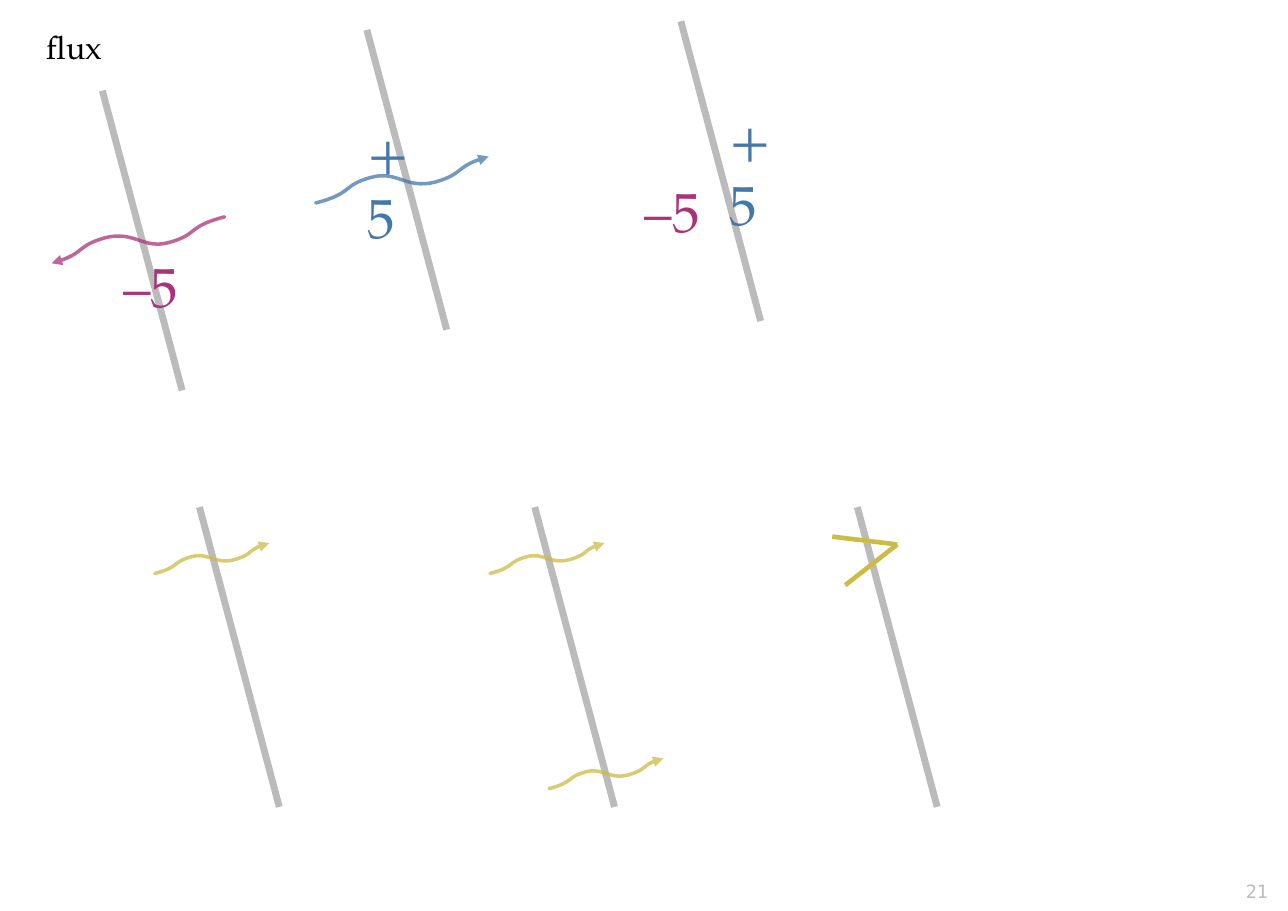
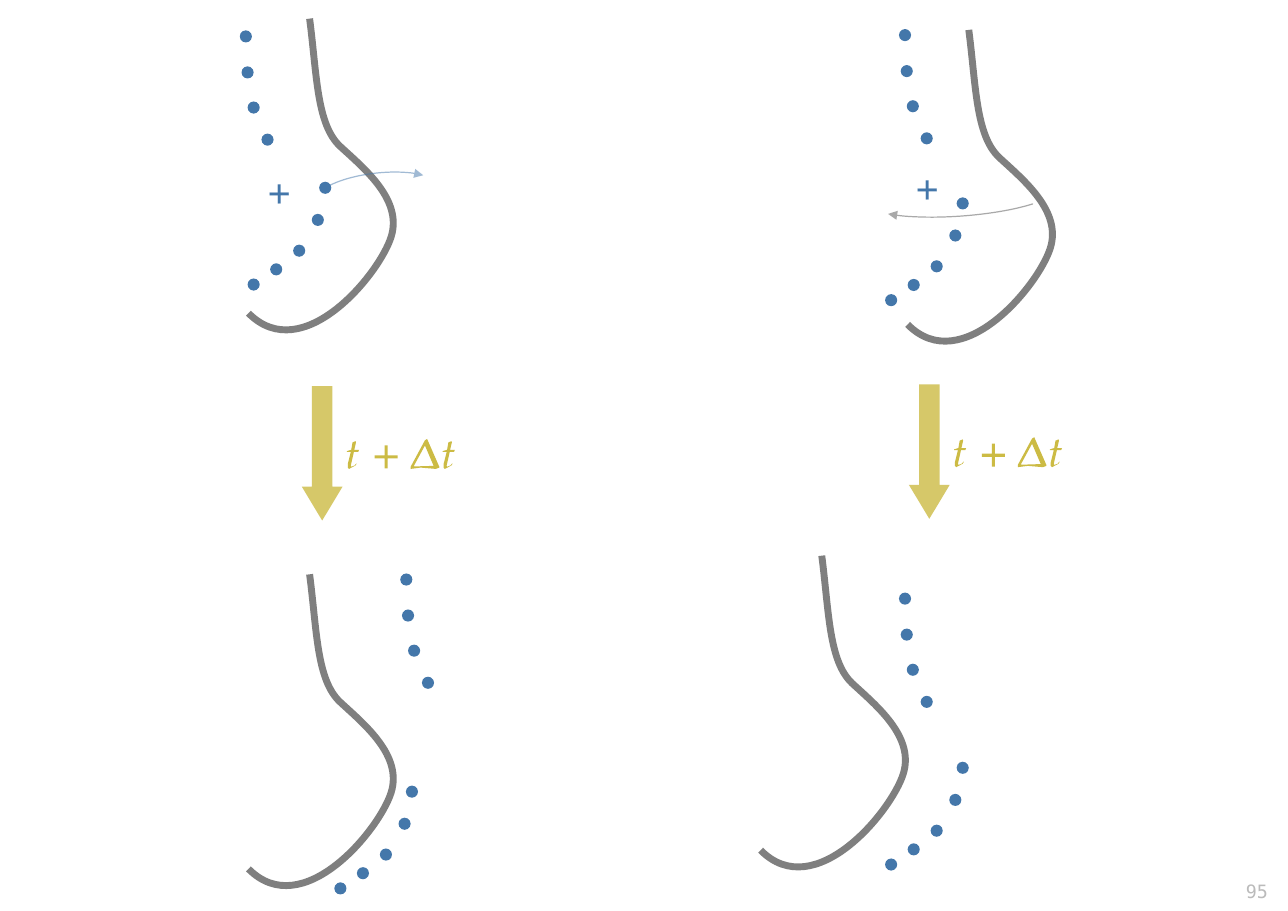
import pptx
import pptx.util
from lxml import etree
from pptx.dml.color import RGBColor
from pptx.enum.shapes import MSO_CONNECTOR, MSO_SHAPE
from pptx.enum.text import MSO_ANCHOR, PP_ALIGN
from pptx.oxml.ns import qn
from pptx.util import Cm

BLACK = RGBColor(0x00, 0x00, 0x00)
BLUE = RGBColor(0x44, 0x77, 0xAA)
MAGENTA = RGBColor(0xAA, 0x33, 0x77)
YELLOW = RGBColor(0xCC, 0xBB, 0x44)
LIGHT_GRAY = RGBColor(0xBB, 0xBB, 0xBB)
DARK_GRAY = RGBColor(0x55, 0x55, 0x55)

SERIF = "TeX Gyre Pagella"
MONO = "DejaVu Sans Mono"

WAVE = [(0, 1), (0.22, 0.79), (0.15, 0.62), (0.32, 0.45), (0.47, 0.29),
        (0.52, 0.71), (0.69, 0.55), (0.85, 0.38), (0.8, 0.21), (1, 0)]
LARGE_WAVE = (3.99, 1.07)
SMALL_WAVE = (2.64, 0.7)
BEND = [(1.41, 0), (1.58, 1.3), (1.57, 2.43), (2.11, 2.94), (2.66, 3.45),
        (3.56, 4.17), (3.29, 5.03), (3.02, 5.89), (1.25, 8.05), (0, 6.79)]
BEND_SIZE = (3.33, 7.19)
UPPER_DOTS = [(0, 0), (0.04, 0.83), (0.18, 1.64), (0.5, 2.38)]
LOWER_DOTS = [(0, 0), (-0.17, 0.74), (-0.6, 1.45), (-1.13, 1.88), (-1.65, 2.23)]
DOT_SIZE = 0.28

LETTER_T = [[(0.22, 0.53), (0.22, 0.51), (0.18, 0.56), (0.1, 0.59), (0.09, 0.56),
             (0.15, 0.3), (0.16, 0.25), (0.26, 0.25), (0.28, 0.2), (0.17, 0.2),
             (0.21, 0.03), (0.2, 0), (0.13, 0.03), (0.1, 0.2), (0, 0.23), (0, 0.25),
             (0.09, 0.25), (0.02, 0.53), (0.02, 0.61), (0.05, 0.64), (0.2, 0.56)]]
PLUS = [[(0.53, 0.3), (0.53, 0.23), (0.3, 0.23), (0.3, 0), (0.23, 0), (0.23, 0.23),
         (0, 0.23), (0, 0.3), (0.23, 0.3), (0.23, 0.53), (0.3, 0.53), (0.3, 0.3)]]
DELTA = [[(0.33, 0.03), (0, 0.64), (0, 0.69), (0.23, 0.66), (0.58, 0.69),
          (0.66, 0.66), (0.66, 0.64), (0.38, 0)],
         [(0.53, 0.62), (0.18, 0.63), (0.08, 0.63), (0.08, 0.61), (0.33, 0.15)]]
TIME_LABEL = [(1.04, 1.27, LETTER_T), (1.68, 1.37, PLUS), (2.51, 1.22, DELTA),
              (3.25, 1.27, LETTER_T)]


def set_text(tf, text, size=21, color=BLACK, font=SERIF, bold=False, align=PP_ALIGN.LEFT):
    """Write one formatted paragraph at the top of a text frame."""
    tf.word_wrap = True
    tf.vertical_anchor = MSO_ANCHOR.TOP
    p = tf.paragraphs[0]
    p.alignment = align
    r = p.add_run()
    r.text = text
    r.font.name = font
    r.font.size = pptx.util.Pt(size)
    r.font.color.rgb = color
    r.font.bold = bold


def add_text(s, left, top, width, height, text, **fmt):
    """Add a text box with formatted text."""
    box = s.shapes.add_textbox(Cm(left), Cm(top), Cm(width), Cm(height))
    set_text(box.text_frame, text, **fmt)


def fade(sp, percent):
    """Set the opacity of the colours of a shape."""
    for clr in sp._element.spPr.iter(qn("a:srgbClr")):
        etree.SubElement(clr, qn("a:alpha"), val=str(percent * 1000))


def style_fill(sp, color):
    """Fill a shape and leave it without an outline."""
    sp.shadow.inherit = False
    sp.fill.solid()
    sp.fill.fore_color.rgb = color
    sp.line.fill.background()


def style_stroke(sp, color, width, opacity=100, arrow=False):
    """Format an unfilled outline, with an arrowhead at its end if asked."""
    sp.shadow.inherit = False
    sp.fill.background()
    sp.line.color.rgb = color
    sp.line.width = pptx.util.Pt(width)
    if opacity < 100:
        fade(sp, opacity)
    if arrow:
        ln = sp.line._get_or_add_ln()
        ln.set("cap", "rnd")
        etree.SubElement(ln, qn("a:tailEnd"), type="triangle")


def add_line(shapes, x1, y1, x2, y2, color, width):
    """Add a straight line."""
    line = shapes.add_connector(MSO_CONNECTOR.STRAIGHT, Cm(x1), Cm(y1), Cm(x2), Cm(y2))
    line.line.color.rgb = color
    line.line.width = pptx.util.Pt(width)
    etree.SubElement(line._element.spPr, qn("a:effectLst"))


def add_curve(shapes, left, top, size, points, **stroke):
    """Add an open chain of cubic curves in a box of the given size."""
    start, *rest = [(Cm(left + x), Cm(top + y)) for x, y in points]
    builder = shapes.build_freeform(*start)
    builder.add_line_segments(rest, close=False)
    sp = builder.convert_to_shape()
    outline = next(sp._element.iter(qn("a:path")))
    lines = outline.findall(qn("a:lnTo"))
    for i in range(0, len(lines), 3):
        cubic = etree.SubElement(outline, qn("a:cubicBezTo"))
        for line in lines[i:i + 3]:
            cubic.append(line[0])
            outline.remove(line)
    sp.width, sp.height = Cm(size[0]), Cm(size[1])
    outline.set("w", str(sp.width))
    outline.set("h", str(sp.height))
    style_stroke(sp, **stroke)


def add_glyph(shapes, left, top, contours, color):
    """Add a filled outline made of closed contours."""
    placed = [[(Cm(left + x), Cm(top + y)) for x, y in contour] for contour in contours]
    builder = shapes.build_freeform(*placed[0][0])
    builder.add_line_segments(placed[0][1:])
    for contour in placed[1:]:
        builder.move_to(*contour[0])
        builder.add_line_segments(contour[1:])
    style_fill(builder.convert_to_shape(), color)


def add_wave(s, left, top, size, color, backward=False):
    """Add a wavy arrow that fills the box."""
    width, height = size
    unit = [(1 - x, 1 - y) for x, y in WAVE] if backward else WAVE
    points = [(x * width, y * height) for x, y in unit]
    add_curve(s.shapes, left, top, size, points, color=color, width=2.3, opacity=75, arrow=True)


def add_flux_panel(s, left, top, labels=(), waves=()):
    """Draw a straight membrane with its labels and wavy arrows."""
    add_line(s.shapes, left + 1.84, top + 6.91, left, top, LIGHT_GRAY, 4.5)
    for x, y, width, text, color in labels:
        add_text(s, left + x, top + y, width, 1.98, text, size=36, color=color)
    for x, y, *wave in waves:
        add_wave(s, left + x, top + y, *wave)


def add_chevron(s, left, top):
    """Draw two grouped lines that meet in a tip."""
    grp = s.shapes.add_group_shape()
    for x, y in ((-0.58, 0.68), (-0.28, 1.8)):
        add_line(grp.shapes, left + x, top + y, left + 0.92, top + 0.86, YELLOW, 3)


def add_cell_edge(s, left, top, upper, lower):
    """Draw a bent membrane with its two rows of dots."""
    grp = s.shapes.add_group_shape()
    add_curve(grp.shapes, left, top, BEND_SIZE, BEND, color=DARK_GRAY, width=4.5, opacity=75)
    for (x0, y0), dots in ((upper, UPPER_DOTS), (lower, LOWER_DOTS)):
        for x, y in dots:
            dot = grp.shapes.add_shape(MSO_SHAPE.OVAL, Cm(left + x0 + x), Cm(top + y0 + y),
                                       Cm(DOT_SIZE), Cm(DOT_SIZE))
            style_fill(dot, BLUE)


def add_time_step(s, left, top):
    """Draw a block arrow with its formula."""
    arrow = s.shapes.add_shape(MSO_SHAPE.DOWN_ARROW, Cm(left), Cm(top), Cm(0.94), Cm(3.1))
    arrow.adjustments[0], arrow.adjustments[1] = 0.5, 0.83
    style_fill(arrow, YELLOW)
    fade(arrow, 80)
    grp = s.shapes.add_group_shape()
    for x, y, contours in TIME_LABEL:
        add_glyph(grp.shapes, left + x, top + y, contours, YELLOW)


def add_arc(s, left, top, width, rotation, angles, color):
    """Draw a thin curved arrow."""
    arc = s.shapes.add_shape(MSO_SHAPE.ARC, Cm(left), Cm(top), Cm(width), Cm(0.94))
    arc.adjustments[0], arc.adjustments[1] = angles
    arc.rotation = rotation
    style_stroke(arc, color, 0.79, opacity=50, arrow=True)


def add_slide(prs, number, title=None):
    """Add a slide with its page number and an optional title."""
    s = prs.slides.add_slide(prs.slide_layouts[5 if title else 6])
    if title:
        sp = s.shapes.title
        sp.left, sp.top, sp.width, sp.height = Cm(0.82), Cm(0.51), Cm(1.8), Cm(1.27)
        set_text(sp.text_frame, title)
    add_text(s, 26.95, 20.17, 2.54, 0.74, number, size=12, color=LIGHT_GRAY,
             font=MONO, align=PP_ALIGN.RIGHT)
    return s


def build_flux_slide(prs):
    """Build the slide with straight membranes."""
    s = add_slide(prs, "21", "flux")
    add_flux_panel(s, 2.36, 2.09, [(0.23, 3.6, 1.95, "–5", MAGENTA)],
                   [(-1.17, 2.91, LARGE_WAVE, MAGENTA, True)])
    add_flux_panel(s, 8.46, 0.69, [(-0.23, 1.9, 1.7, "+5", BLUE)],
                   [(-1.18, 2.92, LARGE_WAVE, BLUE)])
    add_flux_panel(s, 15.7, 0.49, [(0.88, 1.8, 1.7, "+5", BLUE),
                                   (-1.08, 3.47, 1.95, "–5", MAGENTA)])
    lower_row = 11.69
    upper_wave = (-1.03, 0.83, SMALL_WAVE, YELLOW)
    lower_wave = (0.33, 5.79, SMALL_WAVE, YELLOW)
    add_flux_panel(s, 4.6, lower_row, waves=[upper_wave])
    add_flux_panel(s, 12.33, lower_row, waves=[upper_wave, lower_wave])
    add_flux_panel(s, 19.77, lower_row)
    add_chevron(s, 19.77, lower_row)


def build_motion_slide(prs):
    """Build the slide with bent membranes before and after a time step."""
    s = add_slide(prs, "95")
    add_cell_edge(s, 5.73, 0.43, (-0.2, 0.27), (1.63, 3.76))
    add_cell_edge(s, 5.73, 13.24, (3.5, -0.02), (3.63, 4.87))
    add_cell_edge(s, 20.93, 0.69, (-0.2, -0.02), (1.13, 3.86))
    add_cell_edge(s, 17.54, 12.81, (3.19, 0.85), (4.52, 4.75))
    add_time_step(s, 6.96, 8.9)
    add_time_step(s, 20.96, 8.86)
    add_arc(s, 7.27, 3.99, 2.84, 173.3, (9.93, 99.12), BLUE)
    add_arc(s, 19.97, 4.04, 4.39, 355.7, (6.57, 102.15), DARK_GRAY)
    for left, top in ((5.92, 3.81), (20.87, 3.71)):
        add_text(s, left, top, 1, 1.27, "+", color=BLUE, bold=True)


def main():
    """Build and save the presentation."""
    prs = pptx.Presentation()
    prs.slide_width, prs.slide_height = Cm(29.7), Cm(21)
    build_flux_slide(prs)
    build_motion_slide(prs)
    prs.save("out.pptx")


if __name__ == "__main__":
    main()
